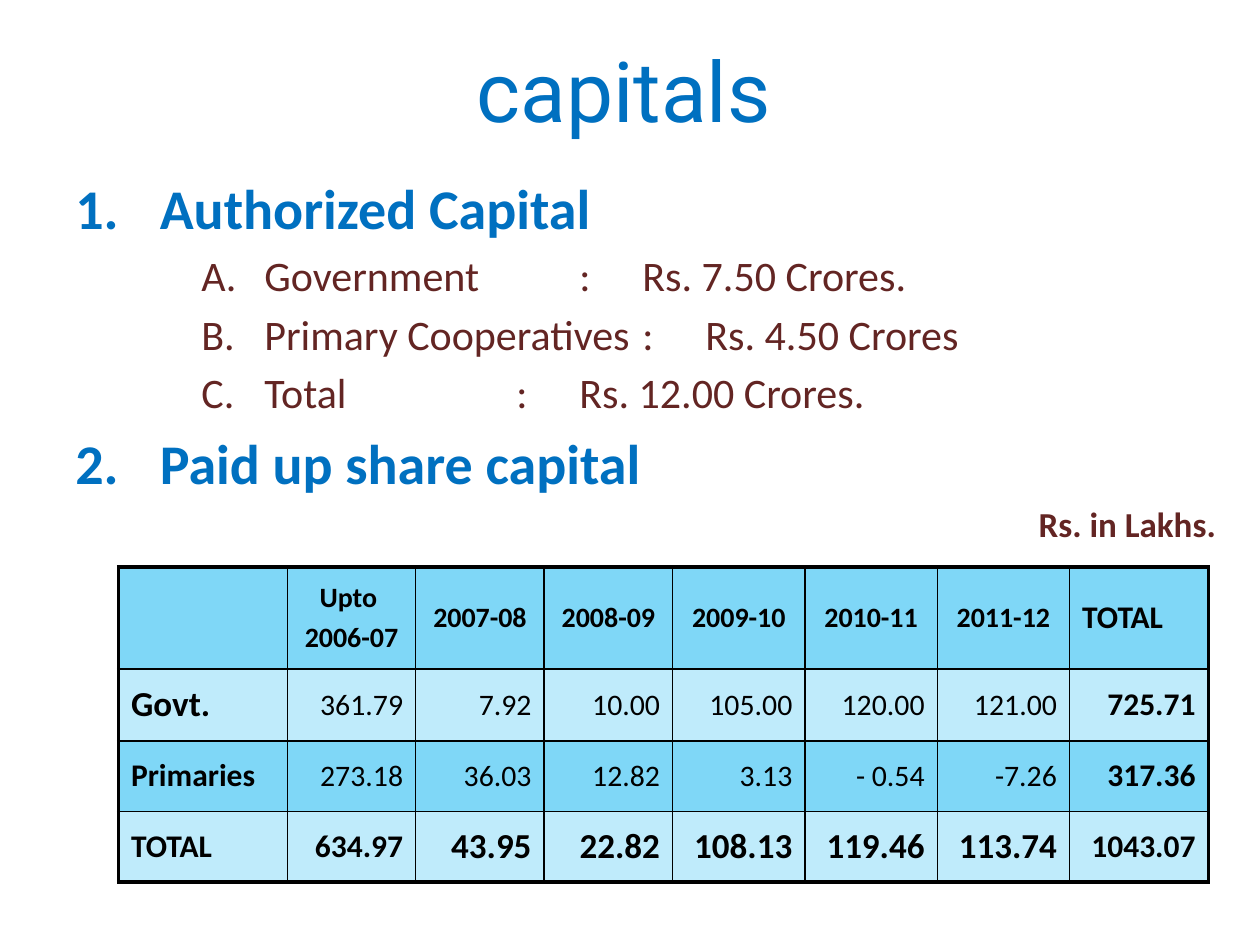
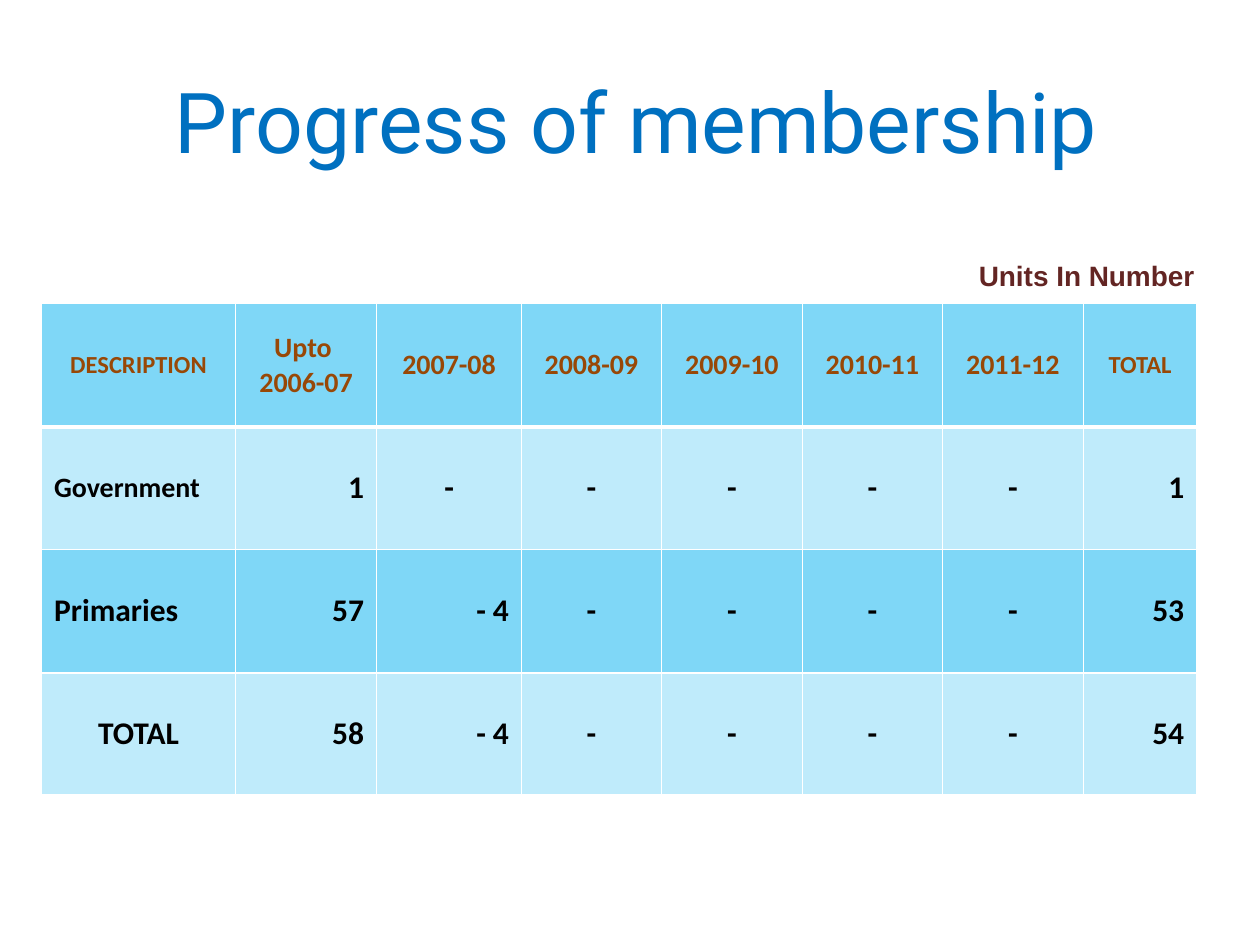
from dataclasses import dataclass

from lxml import etree
from pptx import Presentation
from pptx import util as u
from pptx.dml import color
from pptx.enum import text
from pptx.oxml import ns

Align = text.PP_ALIGN
ALIGNS = {"l": Align.LEFT, "c": Align.CENTER, "r": Align.RIGHT}


@dataclass(frozen=True)
class Theme:
    blue: str = "0070C0"
    maroon: str = "632523"
    brown: str = "984807"
    black: str = "000000"
    white: str = "FFFFFF"
    cyan: str = "00B0F0"
    dark_band: int = 50
    light_band: int = 25
    body_font: str = "Calibri"
    title_font: str = "Roboto"
    note_font: str = "Arial"
    title: int = 48
    heading: int = 32
    entry: int = 24
    large: int = 20
    medium: int = 18
    figure: int = 17
    small: int = 16
    tiny: int = 14
    space_share: float = 0.2


THEME = Theme()


@dataclass(frozen=True)
class Box:
    left: float
    top: float
    width: float
    height: float

    def lengths(self) -> tuple:
        return tuple(u.Inches(n) for n in (self.left, self.top, self.width, self.height))


@dataclass(frozen=True)
class Style:
    size: int
    colour: str = THEME.black
    bold: bool = True
    font: str = THEME.body_font


@dataclass(frozen=True)
class Outline:
    level: int
    indent: float
    hanging: float
    numbering: str
    style: Style
    align: str = "l"


@dataclass(frozen=True)
class Row:
    height: float
    cells: tuple[str, ...]
    aligns: str
    sizes: tuple[int, ...]
    colour: str = THEME.black
    regular_figures: bool = False


@dataclass(frozen=True)
class Grid:
    box: Box
    widths: tuple[float, ...]
    rows: tuple[Row, ...]
    line: str
    edge: float
    header_rule: float
    space_share: float = 0


YEARS = ("Upto \n2006-07", "2007-08", "2008-09", "2009-10", "2010-11", "2011-12")

TITLE = Style(THEME.title, THEME.blue, False, THEME.title_font)
HEADING = Outline(0, 0.67, 0.67, "arabicPeriod", Style(THEME.heading, THEME.blue))
ENTRY = Outline(2, 1.5, 0.5, "alphaUcPeriod", Style(THEME.entry, THEME.maroon, False))
UNIT = Outline(4, 2.42, 0.42, "", Style(THEME.large, THEME.maroon), "r")

CAPITAL_LINES = (
    (HEADING, "Authorized Capital"),
    (ENTRY, "Government\t\t:\tRs. 7.50 Crores."),
    (ENTRY, "Primary Cooperatives\t:\tRs. 4.50 Crores"),
    (ENTRY, "Total\t\t\t:\tRs. 12.00 Crores."),
    (HEADING, "Paid up share capital"),
    (UNIT, "Rs. in Lakhs."),
)

FIGURES = (THEME.figure,) * 6

SHARE_CAPITAL = Grid(
    Box(0.94, 4.5, 8.64, 2.5),
    (1.34, 1.02, 1.02, 1.02, 1.05, 1.05, 1.05, 1.1),
    (
        Row(0.81, ("", *YEARS, "TOTAL"), "lccccccl",
            (THEME.small,) * 7 + (THEME.medium,)),
        Row(0.57, ("Govt.", "361.79", "7.92", "10.00", "105.00", "120.00", "121.00", "725.71"),
            "lrrrrrrr", (THEME.large, *FIGURES, THEME.medium), regular_figures=True),
        Row(0.56, ("Primaries", "273.18", "36.03", "12.82", "3.13", "- 0.54", "-7.26", "317.36"),
            "lrrrrrrr", (THEME.medium, *FIGURES, THEME.medium), regular_figures=True),
        Row(0.56, ("TOTAL", "634.97", "43.95", "22.82", "108.13", "119.46", "113.74", "1043.07"),
            "lrrrrrrr", (THEME.medium,) * 2 + (THEME.large,) * 5 + (THEME.medium,)),
    ),
    THEME.black, edge=2.25, header_rule=1, space_share=THEME.space_share,
)

MEMBERSHIP = Grid(
    Box(0.33, 2.41, 9.17, 3.9),
    (1.54, 1.12, 1.15, 1.11, 1.12, 1.11, 1.12, 0.9),
    (
        Row(0.98, ("DESCRIPTION", *YEARS, "TOTAL"), "c" * 8,
            (THEME.tiny,) + (THEME.small,) * 6 + (THEME.tiny,), THEME.brown),
        Row(0.97, ("Government", "1", *"-----", "1"), "lrcccccr",
            (THEME.small,) + (THEME.medium,) * 7),
        Row(0.98, ("Primaries", "57", "- 4", *"----", "53"), "lrrccccr", (THEME.medium,) * 8),
        Row(0.97, ("TOTAL", "58", "- 4", *"----", "54"), "crrccccr", (THEME.medium,) * 8),
    ),
    THEME.white, edge=1, header_rule=3,
)


def add_run(paragraph, words: str, style: Style) -> None:
    run = paragraph.add_run()
    run.text = words
    run.font.name = style.font
    run.font.size = u.Pt(style.size)
    run.font.bold = style.bold
    run.font.color.rgb = color.RGBColor.from_string(style.colour)


def add_label(slide, box: Box, words: str, style: Style, align: str = "c") -> None:
    frame = slide.shapes.add_textbox(*box.lengths()).text_frame
    frame.word_wrap = False
    frame.auto_size = text.MSO_AUTO_SIZE.SHAPE_TO_FIT_TEXT
    paragraph = frame.paragraphs[0]
    paragraph.alignment = ALIGNS[align]
    add_run(paragraph, words, style)


def add_outline(slide, box: Box, lines: tuple[tuple[Outline, str], ...]) -> None:
    frame = slide.shapes.add_textbox(*box.lengths()).text_frame
    frame.word_wrap = True
    for index, (outline, words) in enumerate(lines):
        paragraph = frame.add_paragraph() if index else frame.paragraphs[0]
        paragraph.level = outline.level
        paragraph.alignment = ALIGNS[outline.align]
        paragraph.space_before = u.Pt(outline.style.size * THEME.space_share)
        properties = paragraph._p.get_or_add_pPr()
        properties.set("marL", str(u.Inches(outline.indent)))
        properties.set("indent", str(-u.Inches(outline.hanging)))
        if outline.numbering:
            font = etree.SubElement(properties, ns.qn("a:buFont"))
            font.set("typeface", "+mj-lt")
            number = etree.SubElement(properties, ns.qn("a:buAutoNum"))
            number.set("type", outline.numbering)
        add_run(paragraph, words, outline.style)


def add_border(cell, side: str, colour: str, width: float) -> None:
    line = etree.SubElement(cell._tc.get_or_add_tcPr(), ns.qn(f"a:ln{side}"))
    line.set("w", str(u.Pt(width)))
    fill = etree.SubElement(line, ns.qn("a:solidFill"))
    etree.SubElement(fill, ns.qn("a:srgbClr")).set("val", colour)


def fill_band(cell, opacity: int) -> None:
    cell.fill.solid()
    cell.fill.fore_color.rgb = color.RGBColor.from_string(THEME.cyan)
    tint = cell._tc.tcPr.find(".//" + ns.qn("a:solidFill") + "/" + ns.qn("a:srgbClr"))
    for candidate in cell._tc.tcPr.findall(ns.qn("a:solidFill")):
        tint = candidate[0]
    etree.SubElement(tint, ns.qn("a:alpha")).set("val", str(opacity * 1000))


def add_grid(slide, grid: Grid) -> None:
    last_row, last_column = len(grid.rows) - 1, len(grid.widths) - 1
    table = slide.shapes.add_table(last_row + 1, last_column + 1, *grid.box.lengths()).table
    for column, width in zip(table.columns, grid.widths):
        column.width = u.Inches(width)
    for r, row in enumerate(grid.rows):
        table.rows[r].height = u.Inches(row.height)
        for c, (words, align, size) in enumerate(zip(row.cells, row.aligns, row.sizes)):
            cell = table.cell(r, c)
            cell.vertical_anchor = text.MSO_ANCHOR.MIDDLE
            borders = {
                "L": grid.edge if c == 0 else 1,
                "R": grid.edge if c == last_column else 1,
                "T": grid.edge if r == 0 else grid.header_rule if r == 1 else 1,
                "B": grid.edge if r == last_row else grid.header_rule if r == 0 else 1,
            }
            for side, width in borders.items():
                add_border(cell, side, grid.line, width)
            fill_band(cell, THEME.light_band if r % 2 else THEME.dark_band)
            if not words:
                continue
            bold = not (row.regular_figures and 0 < c < last_column)
            for index, part in enumerate(words.split("\n")):
                frame = cell.text_frame
                paragraph = frame.add_paragraph() if index else frame.paragraphs[0]
                paragraph.alignment = ALIGNS[align]
                paragraph.space_before = u.Pt(size * grid.space_share)
                add_run(paragraph, part, Style(size, row.colour, bold))


def main() -> None:
    deck = Presentation()
    deck.slide_width, deck.slide_height = u.Inches(10), u.Inches(7.5)
    blank = deck.slide_layouts[6]

    capitals = deck.slides.add_slide(blank)
    add_outline(capitals, Box(0.5, 1.33, 9.25, 3.33), CAPITAL_LINES)
    add_grid(capitals, SHARE_CAPITAL)
    add_label(capitals, Box(3.32, 0.26, 3.26, 0.91), "capitals", TITLE)

    membership = deck.slides.add_slide(blank)
    add_grid(membership, MEMBERSHIP)
    add_label(membership, Box(0.52, 0.5, 9.06, 0.91), "Progress of membership", TITLE)
    add_label(membership, Box(7.67, 2, 1.99, 0.37), "Units In Number",
              Style(THEME.small, THEME.maroon, font=THEME.note_font), "l")

    deck.save("out.pptx")


if __name__ == "__main__":
    main()
